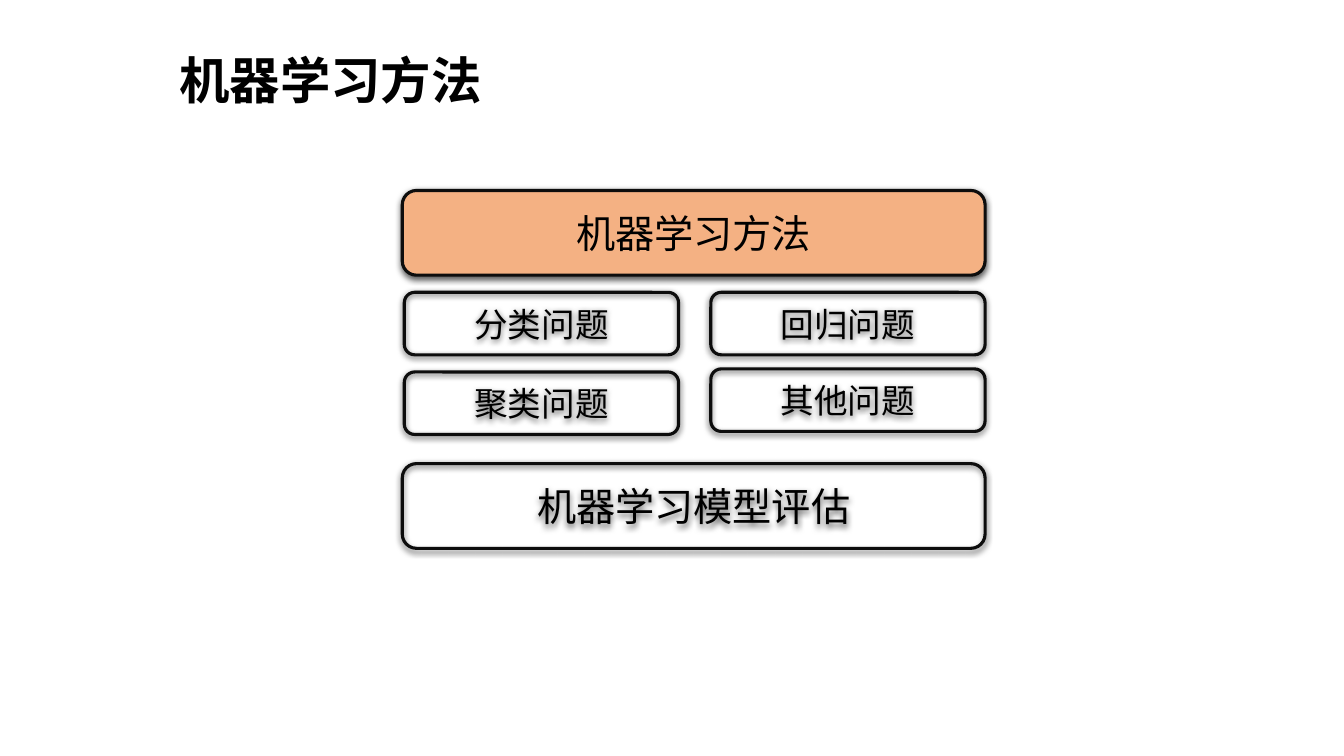
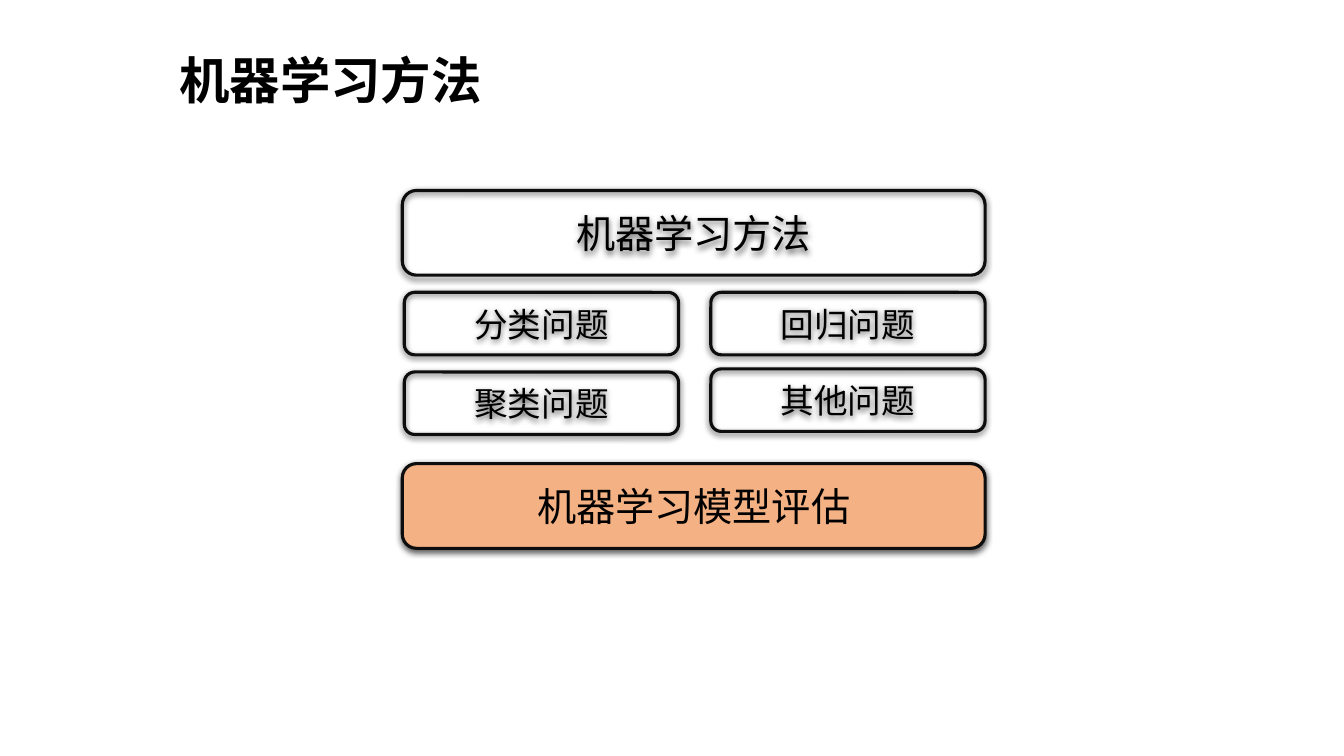
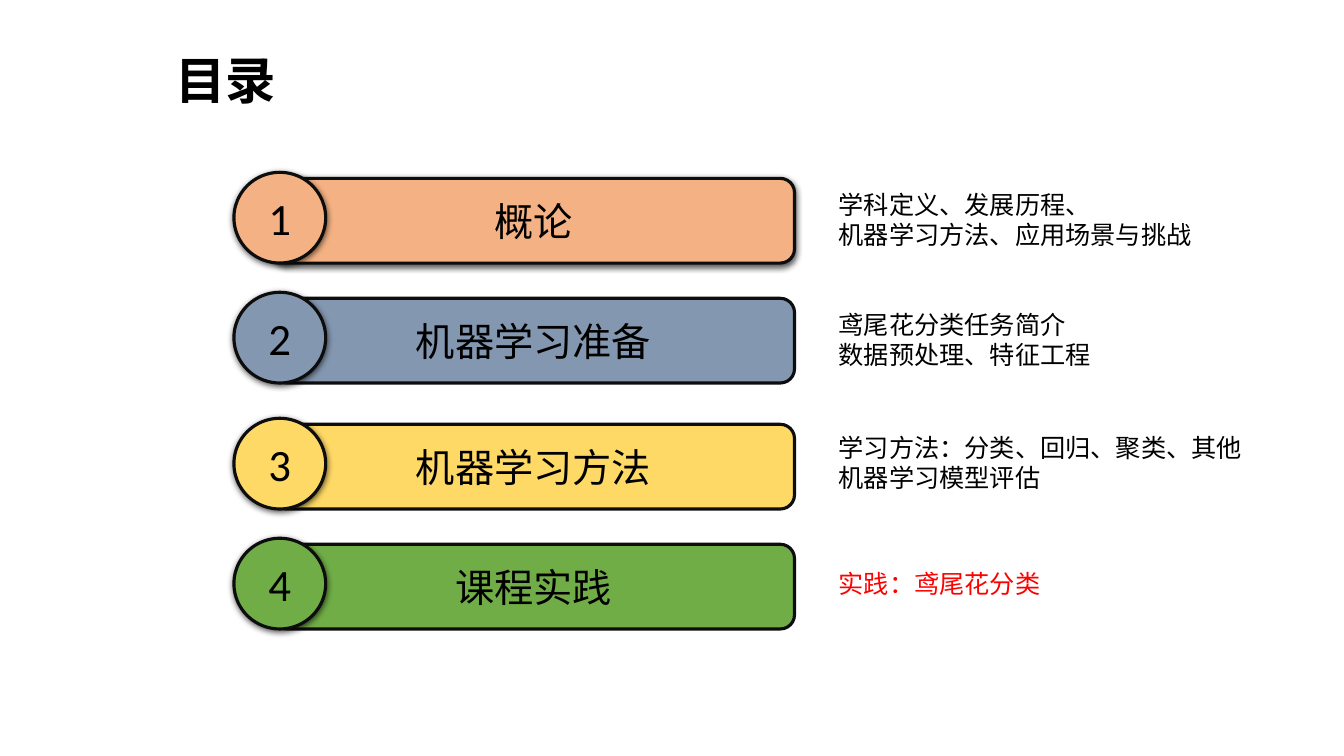
from dataclasses import dataclass
from typing import Optional

from lxml import etree
from pptx import Presentation
from pptx import util as u
from pptx.dml.color import RGBColor
from pptx.enum import shapes, text
from pptx.oxml import ns

# Shared style
PX = 9144  # EMU in one px, 100 px to the inch
WIDTH, HEIGHT = 1333, 750
HAN, LATIN = "Noto Sans CJK SC", "Calibri"
BLACK = RGBColor(0x00, 0x00, 0x00)
INK = RGBColor(0x0D, 0x0D, 0x0D)
PEACH = RGBColor(0xF4, 0xB1, 0x83)
SLATE = RGBColor(0x84, 0x97, 0xB0)
GOLD = RGBColor(0xFF, 0xD9, 0x66)
GREEN = RGBColor(0x70, 0xAD, 0x47)
RED = RGBColor(0xFF, 0x00, 0x00)
ROUND = shapes.MSO_SHAPE.ROUNDED_RECTANGLE
OVAL = shapes.MSO_SHAPE.OVAL


@dataclass(frozen=True)
class Box:
    left: int
    top: int
    width: int
    height: int

    def emu(self) -> list[u.Emu]:
        return [u.Emu(n * PX) for n in (self.left, self.top, self.width, self.height)]


@dataclass(frozen=True)
class Card:
    label: str
    box: Box
    size: int


@dataclass(frozen=True)
class Topic:
    label: str
    top: int
    fill: RGBColor
    note: tuple[str, ...]
    note_box: Box
    ink: RGBColor = BLACK
    shade: bool = False


# Problem cards: two wide ones around a grid of small ones
CARDS = (
    Card("机器学习方法", Box(399, 189, 578, 84), 28),
    Card("分类问题", Box(401, 290, 272, 62), 24),
    Card("回归问题", Box(705, 290, 272, 62), 24),
    Card("聚类问题", Box(401, 369, 272, 62), 24),
    Card("其他问题", Box(705, 366, 272, 62), 24),
    Card("机器学习模型评估", Box(399, 460, 578, 84), 28),
)

# Contents rows
TOPICS = (
    Topic("概论", 171, PEACH, ("学科定义、发展历程、", "机器学习方法、应用场景与挑战"),
          Box(822, 183, 376, 71), shade=True),
    Topic("机器学习准备", 290, SLATE, ("鸢尾花分类任务简介", "数据预处理、特征工程"),
          Box(822, 302, 300, 71)),
    Topic("机器学习方法", 415, GOLD, ("学习方法：分类、回归、聚类、其他", "机器学习模型评估"),
          Box(822, 424, 430, 71)),
    Topic("课程实践", 534, GREEN, ("实践：鸢尾花分类",),
          Box(822, 559, 300, 40), ink=RED),
)


def add_run(para, words: str, size: int, face: str = HAN,
            ink: RGBColor = BLACK, bold: bool = False) -> None:
    run = para.add_run()
    run.text = words
    font = run.font
    font.size, font.name, font.bold = u.Pt(size), face, bold
    font.color.rgb = ink
    etree.SubElement(font._element, ns.qn("a:ea"), typeface=face)


def add_text(slide, lines: tuple[str, ...], box: Box, size: int,
             ink: RGBColor = BLACK, bold: bool = False) -> None:
    frame = slide.shapes.add_textbox(*box.emu()).text_frame
    frame.word_wrap = True
    frame.auto_size = text.MSO_AUTO_SIZE.SHAPE_TO_FIT_TEXT
    for i, line in enumerate(lines):
        para = frame.add_paragraph() if i else frame.paragraphs[0]
        add_run(para, line, size, ink=ink, bold=bold)


def add_shade(shape) -> None:
    # Soft black shadow straight below the shape
    effects = shape._element.spPr.find(ns.qn("a:effectLst"))
    outer = etree.SubElement(effects, ns.qn("a:outerShdw"), blurRad=str(u.Pt(4.5)),
                             dist=str(u.Pt(1.5)), dir="5400000", algn="t", rotWithShape="0")
    color = etree.SubElement(outer, ns.qn("a:srgbClr"), val=str(BLACK))
    etree.SubElement(color, ns.qn("a:alpha"), val="63000")


def add_card(slide, kind, label: str, box: Box, size: int, fill: Optional[RGBColor] = None,
             face: str = HAN, shade: bool = True) -> None:
    shape = slide.shapes.add_shape(kind, *box.emu())
    if fill is None:
        shape.fill.background()
    else:
        shape.fill.solid()
        shape.fill.fore_color.rgb = fill
    shape.line.color.rgb = INK
    shape.line.width = u.Pt(2.25)
    shape.shadow.inherit = False
    if shade:
        add_shade(shape)
    frame = shape.text_frame
    frame.word_wrap = True
    frame.vertical_anchor = text.MSO_ANCHOR.MIDDLE
    para = frame.paragraphs[0]
    para.alignment = text.PP_ALIGN.CENTER
    add_run(para, label, size, face)


def add_slide(deck, title: str, box: Box):
    slide = deck.slides.add_slide(deck.slide_layouts[6])
    add_text(slide, (title,), box, 36, bold=True)
    return slide


def draw_methods(deck, active: Card) -> None:
    slide = add_slide(deck, "机器学习方法", Box(168, 44, 384, 71))
    for card in CARDS:
        fill = PEACH if card is active else None
        add_card(slide, ROUND, card.label, card.box, card.size, fill)


def draw_contents(deck) -> None:
    slide = add_slide(deck, "目录", Box(164, 44, 127, 71))
    for num, row in enumerate(TOPICS, 1):
        add_card(slide, ROUND, row.label, Box(270, row.top + 6, 518, 84), 28,
                 row.fill, shade=row.shade)
        add_card(slide, OVAL, str(num), Box(232, row.top, 91, 90), 32, row.fill, LATIN)
        add_text(slide, row.note, row.note_box, 18, row.ink)


def main() -> None:
    deck = Presentation()
    deck.slide_width, deck.slide_height = u.Emu(WIDTH * PX), u.Emu(HEIGHT * PX)
    for active in (CARDS[0], CARDS[-1]):
        draw_methods(deck, active)
    draw_contents(deck)
    deck.save("out.pptx")


if __name__ == "__main__":
    main()
